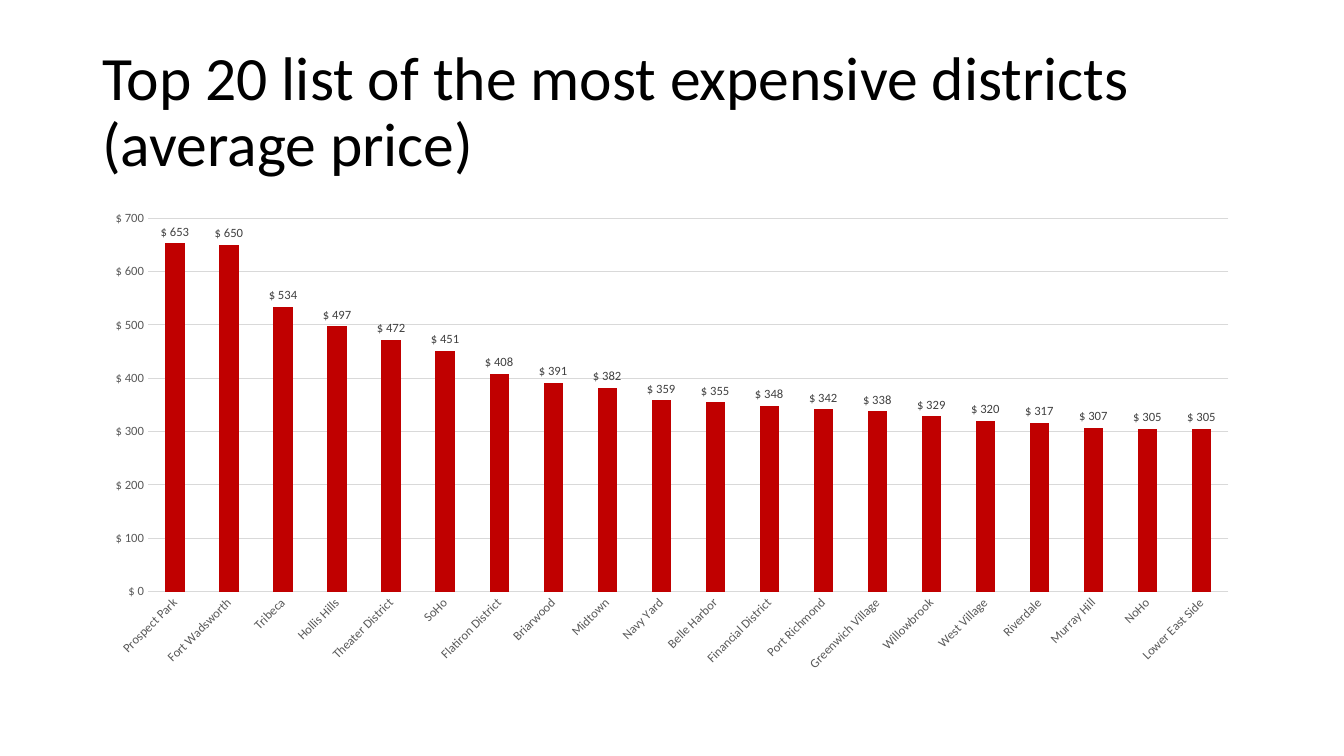
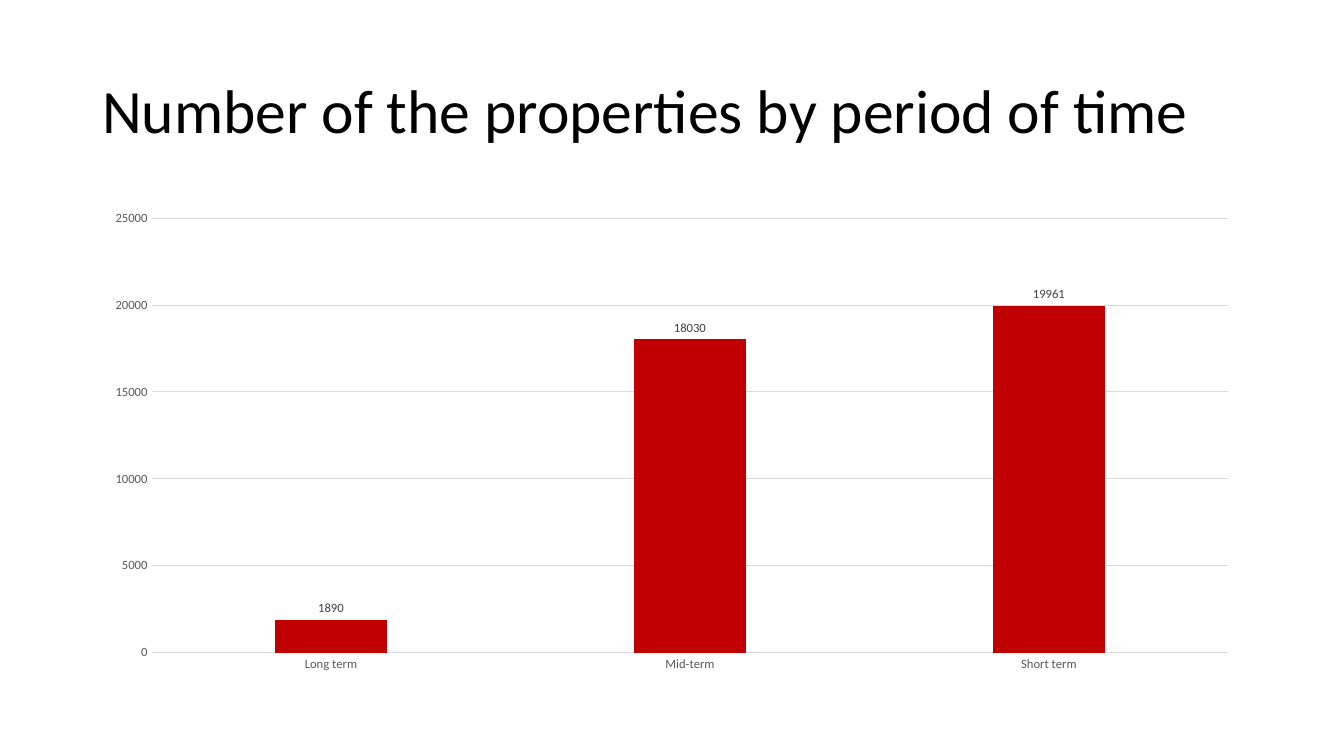
from dataclasses import dataclass

from pptx import Presentation
from pptx.chart.axis import CategoryAxis, ValueAxis
from pptx.chart.chart import Chart
from pptx.chart.data import CategoryChartData
from pptx.dml.color import RGBColor
from pptx.dml.line import LineFormat
from pptx.enum.chart import XL_CHART_TYPE, XL_LABEL_POSITION, XL_TICK_MARK
from pptx.enum.text import MSO_ANCHOR
from pptx.presentation import Presentation as PresentationType
from pptx.slide import Slide
from pptx.text.text import Font
from pptx.util import Pt

COLUMN_CLUSTERED = XL_CHART_TYPE.COLUMN_CLUSTERED
OUTSIDE_END = XL_LABEL_POSITION.OUTSIDE_END
NO_TICK = XL_TICK_MARK.NONE
MIDDLE = MSO_ANCHOR.MIDDLE

FONT_NAME = "Calibri"
COLORS = {
    "title": "000000",
    "bar": "C00000",
    "axis_text": "595959",
    "label_text": "404040",
    "grid": "D9D9D9",
}
BLANK_LAYOUT = 6
SLIDE_WIDTH, SLIDE_HEIGHT = 960, 540
MARGIN = 66
CONTENT_WIDTH = SLIDE_WIDTH - 2 * MARGIN
TITLE_TOP, TITLE_HEIGHT = 28.75, 104.4
CHART_TOP, CHART_HEIGHT = 143.75, 342.6


@dataclass(frozen=True)
class ColumnSlide:
    title: str
    values: dict[str, int]
    axis_maximum: int
    axis_step: int
    gap_width: int
    overlap: int = 0
    number_format: str = "General"
    label_angle: int = 0


COLUMN_SLIDES = [
    ColumnSlide(
        title="Top 20 list of the most expensive districts (average price)",
        values={
            "Prospect Park": 653,
            "Fort Wadsworth": 650,
            "Tribeca": 534,
            "Hollis Hills": 497,
            "Theater District": 472,
            "SoHo": 451,
            "Flatiron District": 408,
            "Briarwood": 391,
            "Midtown": 382,
            "Navy Yard": 359,
            "Belle Harbor": 355,
            "Financial District": 348,
            "Port Richmond": 342,
            "Greenwich Village": 338,
            "Willowbrook": 329,
            "West Village": 320,
            "Riverdale": 317,
            "Murray Hill": 307,
            "NoHo": 305,
            "Lower East Side": 305,
        },
        axis_maximum=700,
        axis_step=100,
        gap_width=182,
        number_format='"$ "0',
        label_angle=-45,
    ),
    ColumnSlide(
        title="Number of the properties by period of time",
        values={"Long term": 1890, "Mid-term": 18030, "Short term": 19961},
        axis_maximum=25000,
        axis_step=5000,
        gap_width=219,
        overlap=-27,
    ),
]


def color(name: str) -> RGBColor:
    return RGBColor.from_string(COLORS[name])


def style_font(font: Font, size: float, color_name: str) -> None:
    font.name = FONT_NAME
    font.size = Pt(size)
    font.color.rgb = color(color_name)


def style_line(line: LineFormat) -> None:
    line.color.rgb = color("grid")
    line.width = Pt(0.75)


def style_axis(axis: CategoryAxis | ValueAxis) -> None:
    axis.major_tick_mark = NO_TICK
    axis.minor_tick_mark = NO_TICK
    style_font(axis.tick_labels.font, 9, "axis_text")


def rotate_category_labels(chart: Chart, degrees: int) -> None:
    for body in chart.element.xpath(".//c:catAx/c:txPr/a:bodyPr"):
        body.set("rot", str(degrees * 60000))
        body.set("vert", "horz")


def add_title(slide: Slide, text: str) -> None:
    box = slide.shapes.add_textbox(
        Pt(MARGIN), Pt(TITLE_TOP), Pt(CONTENT_WIDTH), Pt(TITLE_HEIGHT)
    )
    frame = box.text_frame
    frame.word_wrap = True
    frame.vertical_anchor = MIDDLE
    paragraph = frame.paragraphs[0]
    paragraph.text = text
    paragraph.line_spacing = 0.9
    style_font(paragraph.font, 44, "title")


def add_column_chart(slide: Slide, content: ColumnSlide) -> None:
    data = CategoryChartData(number_format=content.number_format)
    data.categories = list(content.values)
    data.add_series("Series 1", list(content.values.values()))
    chart = slide.shapes.add_chart(
        COLUMN_CLUSTERED,
        Pt(MARGIN), Pt(CHART_TOP), Pt(CONTENT_WIDTH), Pt(CHART_HEIGHT),
        data,
    ).chart
    chart.has_title = False
    chart.has_legend = False
    style_font(chart.font, 10, "title")

    category_axis = chart.category_axis
    style_axis(category_axis)
    style_line(category_axis.format.line)
    if content.label_angle:
        rotate_category_labels(chart, content.label_angle)

    value_axis = chart.value_axis
    style_axis(value_axis)
    value_axis.minimum_scale = 0
    value_axis.maximum_scale = content.axis_maximum
    value_axis.major_unit = content.axis_step
    value_axis.format.line.fill.background()
    style_line(value_axis.major_gridlines.format.line)
    value_axis.tick_labels.number_format = content.number_format
    value_axis.tick_labels.number_format_is_linked = False

    plot = chart.plots[0]
    plot.gap_width = content.gap_width
    plot.overlap = content.overlap
    plot.vary_by_categories = False

    series = plot.series[0]
    series.format.fill.solid()
    series.format.fill.fore_color.rgb = color("bar")
    labels = series.data_labels
    labels.show_value = True
    labels.position = OUTSIDE_END
    labels.number_format = content.number_format
    labels.number_format_is_linked = False
    style_font(labels.font, 9, "label_text")


def add_column_slide(presentation: PresentationType, content: ColumnSlide) -> None:
    slide = presentation.slides.add_slide(presentation.slide_layouts[BLANK_LAYOUT])
    add_title(slide, content.title)
    add_column_chart(slide, content)


def main() -> None:
    presentation = Presentation()
    presentation.slide_width = Pt(SLIDE_WIDTH)
    presentation.slide_height = Pt(SLIDE_HEIGHT)
    for content in COLUMN_SLIDES:
        add_column_slide(presentation, content)
    presentation.save("out.pptx")


if __name__ == "__main__":
    main()
